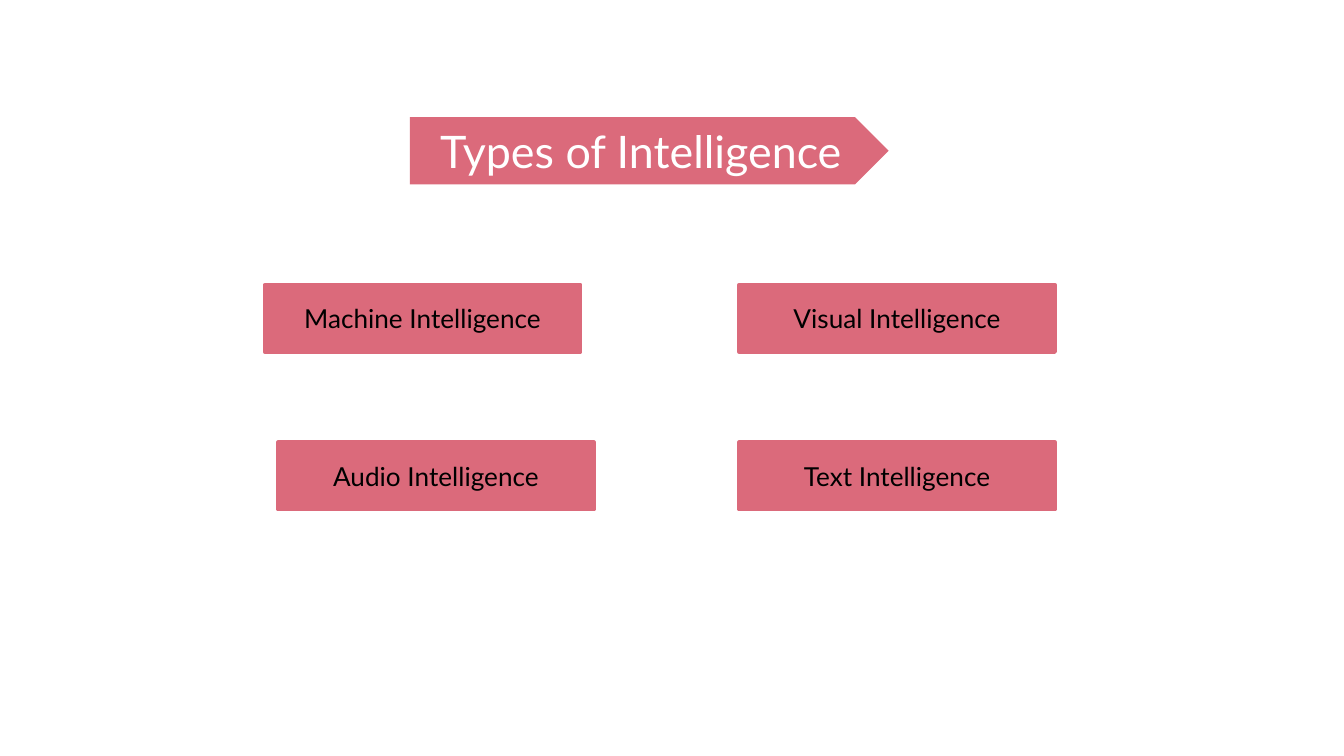
from dataclasses import dataclass

from pptx import Presentation
from pptx.dml.color import RGBColor
from pptx.enum import shapes, text
from pptx.util import Pt


@dataclass(frozen=True)
class Theme:
    font: str = "Lato"
    rose: RGBColor = RGBColor(0xDB, 0x6A, 0x7B)
    white: RGBColor = RGBColor(255, 255, 255)
    black: RGBColor = RGBColor(0, 0, 0)
    head: int = 24
    label: int = 14
    edge: int = 2


class Deck:
    def __init__(self, theme, slide):
        self.theme = theme
        self.slide = slide

    def letter(self, shape, words, size, color):
        """Put one centred line of text in a shape."""
        frame = shape.text_frame
        frame.text = words
        frame.word_wrap = True
        frame.auto_size = text.MSO_AUTO_SIZE.NONE
        frame.vertical_anchor = text.MSO_ANCHOR.MIDDLE
        para = frame.paragraphs[0]
        para.alignment = text.PP_ALIGN.CENTER
        para.font.name = self.theme.font
        para.font.size = Pt(size)
        para.font.color.rgb = color

    def block(self, kind, left, top, width, height):
        shape = self.slide.shapes.add_shape(
            kind, Pt(left), Pt(top), Pt(width), Pt(height))
        shape.shadow.inherit = False
        shape.fill.solid()
        shape.fill.fore_color.rgb = self.theme.rose
        shape.line.fill.background()
        return shape

    def banner(self, words, left, top, width, height):
        """Lay the slide title over an arrow, centred short of its tip."""
        arrow = self.block(
            shapes.MSO_SHAPE.PENTAGON, left, top, width, height)
        title = self.slide.shapes.title
        title.left, title.top = Pt(left), Pt(top)
        title.width, title.height = Pt(width - height / 4), Pt(height)
        self.letter(title, words, self.theme.head, self.theme.white)
        # Bring the title in front of the arrow.
        arrow.element.addnext(title.element)

    def box(self, words, left, top, width, height):
        shape = self.block(
            shapes.MSO_SHAPE.RECTANGLE, left, top, width, height)
        shape.line.color.rgb = self.theme.rose
        shape.line.width = Pt(self.theme.edge)
        self.letter(shape, words, self.theme.label, self.theme.black)


def main():
    show = Presentation()
    show.slide_width, show.slide_height = Pt(720), Pt(405)
    slide = show.slides.add_slide(show.slide_layouts[5])
    deck = Deck(Theme(), slide)

    deck.banner("Types of Intelligence", 219.6, 62.8, 256.4, 36)

    right, wide, high = 396, 169.2, 36
    rows = [
        (152.6, 141.8, "Machine Intelligence", "Visual Intelligence"),
        (237, 149, "Audio Intelligence", "Text Intelligence"),
    ]
    for top, left, first, second in rows:
        deck.box(first, left, top, wide, high)
        deck.box(second, right, top, wide, high)

    show.save("out.pptx")


if __name__ == "__main__":
    main()
